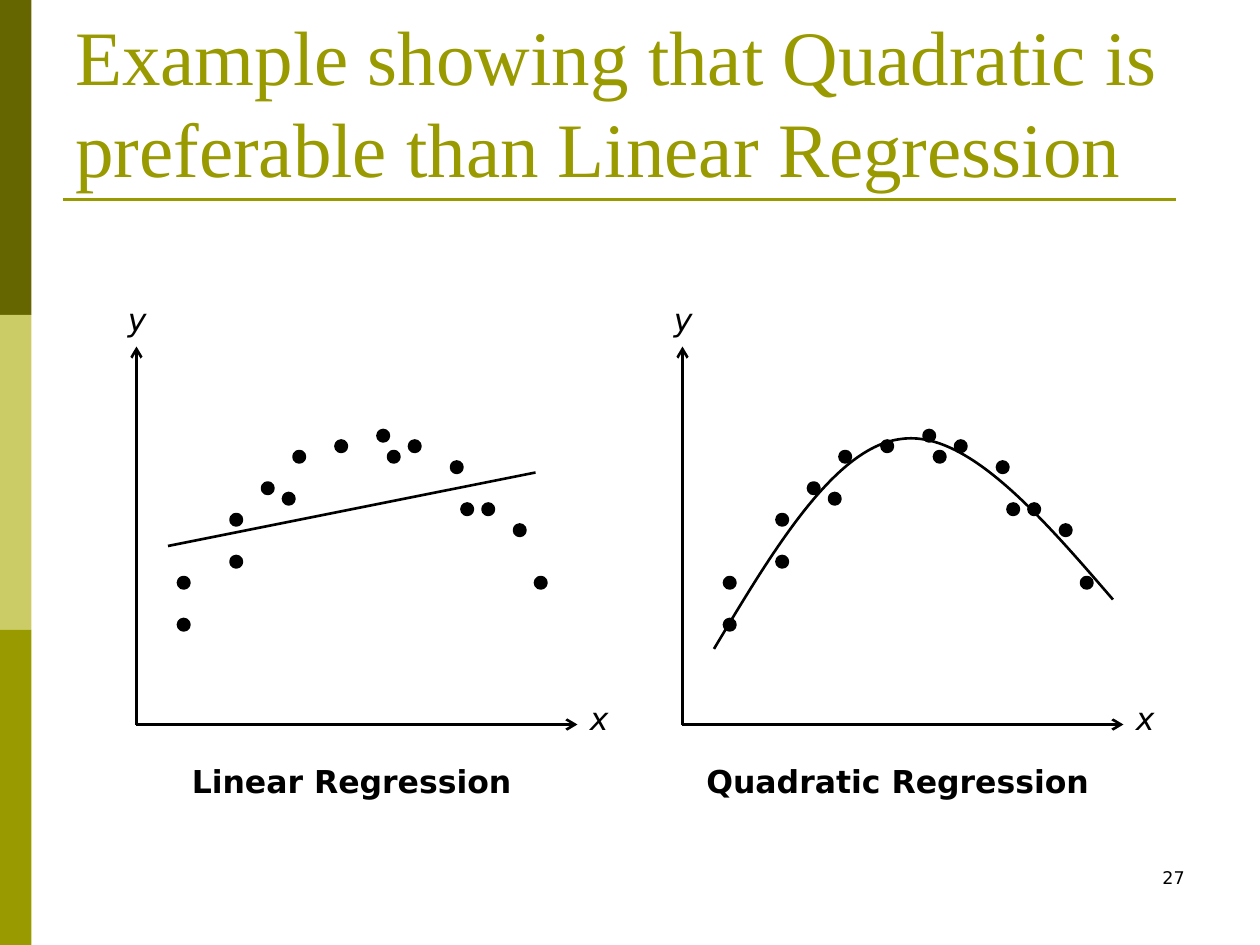
from pptx import Presentation
from pptx.dml.color import RGBColor as Rgb
from pptx.enum.shapes import MSO_CONNECTOR as Link, MSO_SHAPE as Kind
from pptx.enum.text import MSO_ANCHOR as Anchor, PP_ALIGN as Align
from pptx.oxml.ns import qn
from pptx.util import Emu, Pt
from lxml.etree import SubElement as Sub

PX = 7620
COLORS = {"dark": "666600", "pale": "CCCC66", "olive": "999900", "ink": "000000"}
SANS, SERIF = "DejaVu Sans", "Times New Roman"
STEP = 10
DOT = 10
DOTS = [(9, 20), (9, 16), (14, 14), (15, 10), (19, 9), (24, 10), (30, 11), (31, 15),
        (36, 17), (38, 22), (26, 9), (4, 22), (4, 26), (12, 13), (23, 8), (33, 15)]
TREND = [(30, 190), (380, 120)]
CURVE = [(30, 288), (88, 191), (146, 95), (209, 88), (271, 80), (341, 161), (410, 241)]


def emu(*sizes):
    return [Emu(size * PX) for size in sizes]


def color(name):
    return Rgb.from_string(COLORS[name])


def add_text(slide, box, text, size, font=SANS, tint="ink", align=Align.LEFT,
             anchor=Anchor.TOP, bold=False, italic=False):
    frame = slide.shapes.add_textbox(*emu(*box)).text_frame
    frame.word_wrap = True
    frame.vertical_anchor = anchor
    frame.text = text
    para = frame.paragraphs[0]
    para.alignment = align
    face = para.runs[0].font
    face.name, face.size, face.bold, face.italic = font, Pt(size), bold, italic
    face.color.rgb = color(tint)


def add_line(slide, start, end, tint="ink", arrow=False):
    line = slide.shapes.add_connector(Link.STRAIGHT, *emu(*start, *end))
    line.line.color.rgb = color(tint)
    line.line.width = Pt(1.5)
    if arrow:
        Sub(line.line._get_or_add_ln(), qn("a:tailEnd"), type="arrow")
    Sub(line._element.spPr, qn("a:effectLst"))


def add_solid(slide, kind, box, tint, edge=0):
    shape = slide.shapes.add_shape(kind, *emu(*box))
    shape.shadow.inherit = False
    shape.fill.solid()
    shape.fill.fore_color.rgb = color(tint)
    if edge:
        shape.line.color.rgb = color(tint)
        shape.line.width = Pt(edge)
    else:
        shape.line.fill.background()


def add_curve(slide, points):
    pen = slide.shapes.build_freeform(*points[0], scale=PX)
    pen.add_line_segments(points[1:], close=False)
    shape = pen.convert_to_shape()
    shape.shadow.inherit = False
    shape.fill.background()
    shape.line.color.rgb = color("ink")
    shape.line.width = Pt(1.5)
    route = shape._element.spPr.find(".//" + qn("a:path"))
    legs = route.findall(qn("a:lnTo"))
    for first in range(0, len(legs), 3):
        bend = Sub(route, qn("a:cubicBezTo"))
        for leg in legs[first:first + 3]:
            bend.append(leg[0])
            route.remove(leg)


def add_bars(slide, left, top, width, height):
    part = height // 3
    for row, tint in enumerate(["dark", "pale", "olive"]):
        add_solid(slide, Kind.RECTANGLE, (left, top + row * part, width, part), tint)


def add_head(slide, left, top, width, height):
    add_line(slide, (left, top + height), (left + 1060, top + height), "olive")
    add_text(slide, (left, top, width, height),
             "Example showing that Quadratic is preferable than Linear Regression",
             44, SERIF, "olive", anchor=Anchor.BOTTOM)


def add_plot(slide, left, top, width, height, title, fit):
    base = top + height
    add_line(slide, (left, base), (left + width, base), arrow=True)
    add_line(slide, (left, base), (left, top), arrow=True)
    add_text(slide, (left + width, base - 30, 40, 48), "x", 18, italic=True)
    add_text(slide, (left - 20, top - 50, 40, 48), "y", 18, italic=True)
    points = [(left + x, top + y) for x, y in fit]
    if len(points) == 2:
        add_line(slide, *points)
    else:
        add_curve(slide, points)
    for col, row in DOTS:
        spot = (left + col * STEP, top + row * STEP, DOT, DOT)
        add_solid(slide, Kind.OVAL, spot, "ink", 2)
    add_text(slide, (left, base + 30, width - 10, 48), title, 18,
             align=Align.CENTER, bold=True)


def main():
    deck = Presentation()
    deck.slide_width, deck.slide_height = emu(1200, 900)
    slide = deck.slides.add_slide(deck.slide_layouts[6])
    add_bars(slide, 0, 0, 30, 900)
    add_head(slide, 60, 40, 1080, 150)
    add_plot(slide, 650, 330, 420, 360, "Quadratic Regression", CURVE)
    add_plot(slide, 130, 330, 420, 360, "Linear Regression", TREND)
    add_text(slide, (860, 820, 280, 60), "27", 10, align=Align.RIGHT)
    deck.save("out.pptx")


if __name__ == "__main__":
    main()
